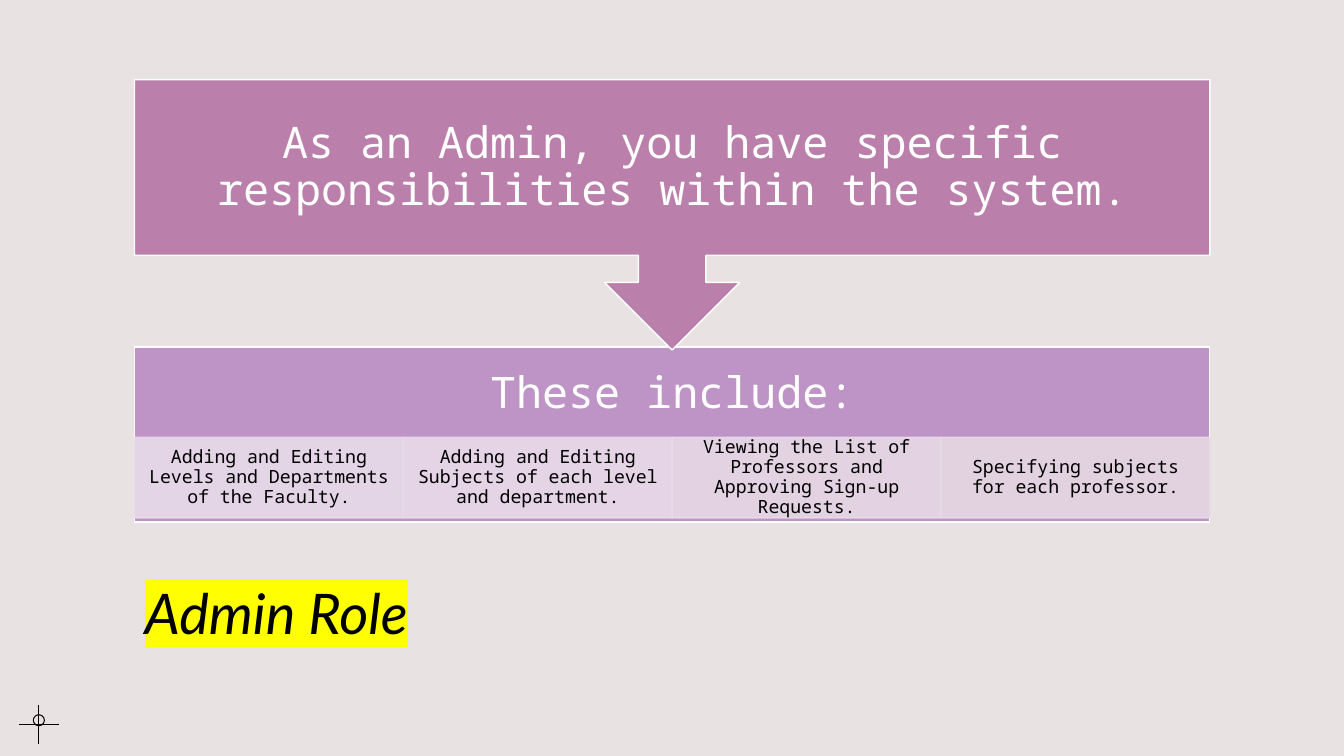
from lxml.etree import SubElement
from pptx import Presentation
from pptx.dml.color import RGBColor
from pptx.enum.shapes import MSO_CONNECTOR as Connector, MSO_SHAPE as Shape
from pptx.enum.text import MSO_ANCHOR as Anchor, MSO_AUTO_SIZE as AutoSize, PP_ALIGN as Align
from pptx.oxml.ns import qn
from pptx.util import Cm, Pt

COLORS = {
    "background": "E8E3E2", "black": "000000", "white": "FFFFFF",
    "highlight": "FFFF00", "callout": "BA7FAA", "panel": "BD94C5",
    "border": "E8DCEA",
}
TASKS = [
    ("Adding and Editing Levels and Departments of the Faculty.", "E8DCEA"),
    ("Adding and Editing Subjects of each level and department.", "E9DBE9"),
    ("Viewing the List of Professors and Approving Sign-up Requests.", "E8D9E6"),
    ("Specifying subjects for each professor.", "E7D8E2"),
]
LEFT, WIDTH = 3.39, 27.1
PANEL_TOP, PANEL_HEIGHT = 8.74, 4.42
TASK_TOP, TASK_HEIGHT = 11.02, 2.03
CROSS_X, CROSS_Y, CROSS_ARM = 0.98, 18.26, 0.5
HEADING = {"size": Pt(31), "name": "Noto Sans Mono"}
DETAIL = {"size": Pt(13), "name": "Noto Sans Mono"}
TITLE = {"size": Pt(40), "name": "Lato", "italic": True}


def rgb(name):
    return RGBColor.from_string(COLORS.get(name, name))


class SlideBuilder:
    def __init__(self, deck):
        self.page = deck.slides.add_slide(deck.slide_layouts[5])
        fill = self.page.background.fill
        fill.solid()
        fill.fore_color.rgb = rgb("background")

    def add_text(self, box, text, style, color, align, spacing, frame_format):
        frame = box.text_frame
        for key, value in frame_format.items():
            setattr(frame, key, value)
        para = frame.paragraphs[0]
        para.alignment, para.line_spacing = align, spacing
        span = para.add_run()
        span.text = text
        for key, value in style.items():
            setattr(span.font, key, value)
        span.font.color.rgb = rgb(color)
        return span

    def title(self, text, left, top, width, height):
        box = self.page.shapes.title
        box.left, box.top, box.width, box.height = map(Cm, (left, top, width, height))
        span = self.add_text(box, text, TITLE, "black", Align.LEFT, 1.2, {
            "word_wrap": True, "auto_size": AutoSize.NONE,
            "vertical_anchor": Anchor.BOTTOM})
        properties = span.font._element
        highlight = SubElement(properties, qn("a:highlight"))
        SubElement(highlight, qn("a:srgbClr"), val=COLORS["highlight"])
        properties.find(qn("a:solidFill")).addnext(highlight)

    def shape(self, kind, left, top, width, height, fill, line, weight=1, alpha=None):
        box = self.page.shapes.add_shape(kind, *map(Cm, (left, top, width, height)))
        box.shadow.inherit = False
        box.line.width = Pt(weight)
        box.line.color.rgb = rgb(line)
        if fill is None:
            box.fill.background()
        else:
            box.fill.solid()
            box.fill.fore_color.rgb = rgb(fill)
        if alpha:
            for color in box._element.spPr.iter(qn("a:srgbClr")):
                SubElement(color, qn("a:alpha"), val=str(alpha * 1000))
        return box

    def label(self, box, text, style, color, side, top, bottom):
        self.add_text(box, text, style, color, Align.CENTER, 0.9, {
            "word_wrap": True, "vertical_anchor": Anchor.MIDDLE,
            "margin_left": Cm(side), "margin_right": Cm(side),
            "margin_top": Cm(top), "margin_bottom": Cm(bottom)})

    def line(self, x1, y1, x2, y2):
        stroke = self.page.shapes.add_connector(
            Connector.STRAIGHT, *map(Cm, (x1, y1, x2, y2)))
        stroke.line.width = Pt(0.75)
        stroke.line.color.rgb = rgb("black")
        SubElement(stroke._element.spPr, qn("a:effectLst"))


def main():
    deck = Presentation()
    deck.slide_width, deck.slide_height = Cm(33.87), Cm(19.05)
    slide = SlideBuilder(deck)

    slide.title("Admin Role", LEFT, 11.99, 28.58, PANEL_HEIGHT)

    slide.line(CROSS_X - CROSS_ARM, CROSS_Y, CROSS_X + CROSS_ARM, CROSS_Y)
    slide.line(CROSS_X, CROSS_Y + CROSS_ARM, CROSS_X, CROSS_Y - CROSS_ARM)
    slide.shape(Shape.OVAL, CROSS_X - 0.14, 18.01, 0.28, 0.28, None, "black", 0.75)

    panel = slide.shape(Shape.RECTANGLE, LEFT, PANEL_TOP, WIDTH, PANEL_HEIGHT,
                        "panel", "white")
    slide.label(panel, "These include:", HEADING, "white", 0.6, 0.6, 2.64)

    task_width = WIDTH / len(TASKS)
    for index, (text, fill) in enumerate(TASKS):
        task = slide.shape(Shape.RECTANGLE, LEFT + index * task_width, TASK_TOP,
                           task_width, TASK_HEIGHT, fill, "border", alpha=90)
        slide.label(task, text, DETAIL, "black", 0.25, 0.05, 0.05)

    callout = slide.shape(Shape.DOWN_ARROW_CALLOUT, LEFT, 2.01, WIDTH, 6.81,
                          "callout", "white")
    slide.label(callout, "As an Admin, you have specific responsibilities within the system.",
                HEADING, "white", 0.6, 0.6, 0.6)

    deck.save("out.pptx")


if __name__ == "__main__":
    main()
